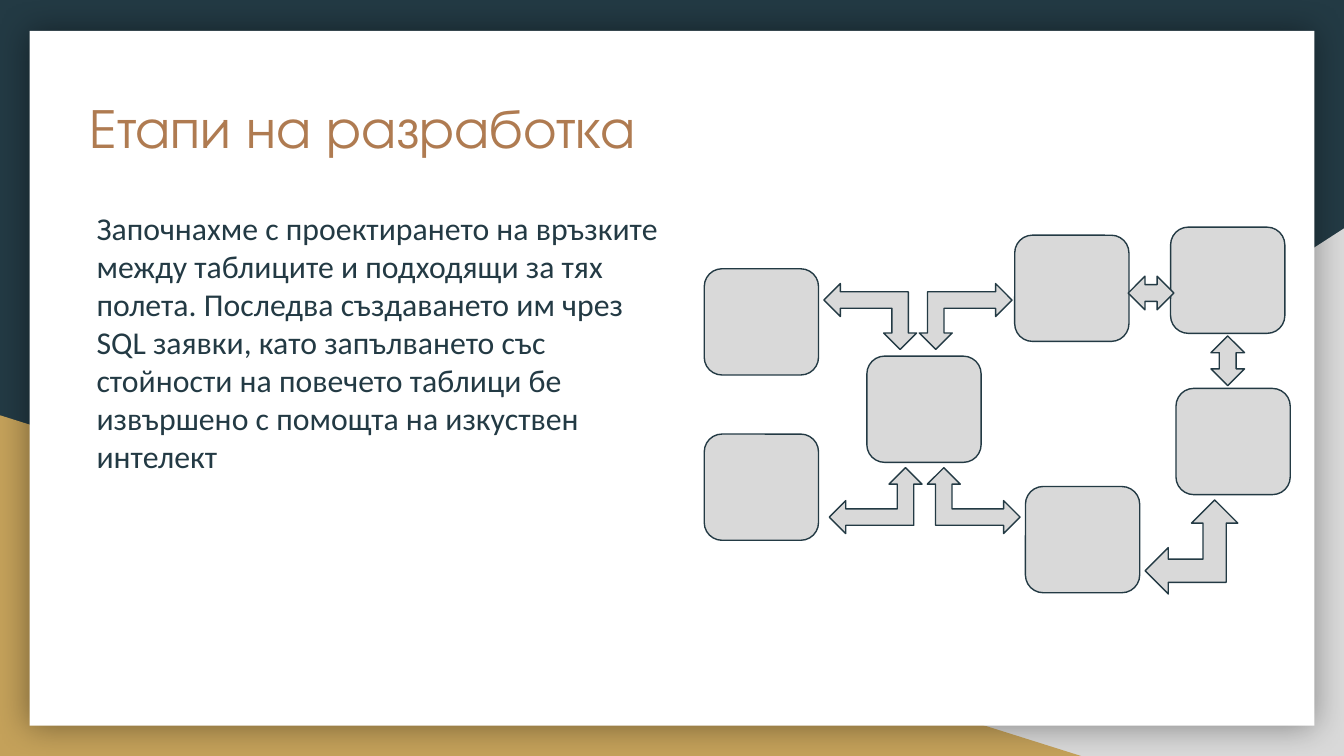
from lxml.etree import SubElement
from pptx import Presentation
from pptx.dml.color import RGBColor
from pptx.enum.shapes import MSO_SHAPE as Shape
from pptx.oxml.ns import qn
from pptx.util import Inches, Pt

NAVY = RGBColor(0x23, 0x3A, 0x44)
GOLD = RGBColor(0xC4, 0xA1, 0x5A)
COPPER = RGBColor(0xAF, 0x7B, 0x51)
GREY = RGBColor(0xD9, 0xD9, 0xD9)
WHITE = RGBColor(0xFF, 0xFF, 0xFF)

WIDTH = 10
HEIGHT = WIDTH * 9 / 16

TITLE = "Етапи на разработка"
BODY = (
    "Започнахме с проектирането на връзките между таблиците и подходящи за тях "
    "полета. Последва създаването им чрез SQL заявки, като запълването със "
    "стойности на повечето таблици бе извършено с помощта на изкуствен интелект"
)

# Diagram of database tables: left and top of each equal node
NODE_SIZE = (0.85, 0.79)
NODES = [(5.24, 2), (5.24, 3.23), (6.45, 2.65), (7.63, 3.62),
         (7.55, 1.75), (8.71, 1.69), (8.75, 2.89)]

# Links between nodes: kind, (left, top, width, height), rotation, mirrored
BENT, STRAIGHT = Shape.LEFT_UP_ARROW, Shape.UP_DOWN_ARROW
LINKS = [
    (BENT, (6.17, 3.48, 0.69, 0.49), 0, False),
    (BENT, (6.23, 2.01, 0.49, 0.69), 270, False),
    (BENT, (6.94, 2.01, 0.49, 0.69), 90, True),
    (BENT, (6.9, 3.48, 0.69, 0.49), 0, True),
    (BENT, (8.52, 3.72, 0.69, 0.7), 0, False),
    (STRAIGHT, (9.01, 2.5, 0.25, 0.37), 0, False),
    (STRAIGHT, (8.44, 2.01, 0.25, 0.34), 270, False),
]


def add_figure(page, kind, area, fill, line=None, rotation=0, mirrored=False):
    figure = page.shapes.add_shape(kind, *map(Inches, area))
    figure.shadow.inherit = False
    figure.fill.solid()
    figure.fill.fore_color.rgb = fill
    if line is None:
        figure.line.fill.background()
    else:
        figure.line.color.rgb = line
        figure.line.width = Pt(0.75)
    figure.rotation = rotation
    if mirrored:
        figure._element.spPr.find(qn("a:xfrm")).set("flipH", "1")
    return figure


def add_glow_shadow(figure, blur, opacity):
    """Add a black shadow with no offset; opacity is in percent."""
    effects = figure._element.spPr.find(qn("a:effectLst"))
    shadow = SubElement(effects, qn("a:outerShdw"), blurRad=str(Pt(blur)),
                        dist="0", dir="0", algn="ctr", rotWithShape="0")
    color = SubElement(shadow, qn("a:srgbClr"), val="000000")
    SubElement(color, qn("a:alpha"), val=str(opacity * 1000))


def add_text(page, text, area, font, size, color):
    box = page.shapes.add_textbox(*map(Inches, area))
    frame = box.text_frame
    frame.word_wrap = True
    frame.margin_left = frame.margin_right = Inches(0.1)
    frame.margin_top = frame.margin_bottom = Inches(0.1)
    span = frame.paragraphs[0].add_run()
    span.text = text
    span.font.name = font
    span.font.size = Pt(size)
    span.font.color.rgb = color


def main():
    deck = Presentation()
    deck.slide_width, deck.slide_height = Inches(WIDTH), Inches(HEIGHT)
    page = deck.slides.add_slide(deck.slide_layouts[6])
    page.background.fill.solid()
    page.background.fill.fore_color.rgb = NAVY

    add_figure(page, Shape.RIGHT_TRIANGLE, (3.92, 1.7, 6.08, 3.93), GREY, mirrored=True)
    add_figure(page, Shape.RIGHT_TRIANGLE, (0, 3.09, 8.06, 2.54), GOLD)
    card = add_figure(page, Shape.RECTANGLE, (0.22, 0.23, 9.56, 5.17), WHITE)
    add_glow_shadow(card, blur=18, opacity=40)

    add_text(page, TITLE, (0.57, 0.59, 8.21, 1.04),
             font="TeX Gyre Adventor", size=30, color=COPPER)
    add_text(page, BODY, (0.62, 1.45, 4.38, 3.37),
             font="Calibri", size=17, color=NAVY)

    for corner in NODES:
        add_figure(page, Shape.ROUNDED_RECTANGLE, corner + NODE_SIZE, GREY, NAVY)
    for kind, area, rotation, mirrored in LINKS:
        add_figure(page, kind, area, GREY, NAVY, rotation, mirrored)

    deck.save("out.pptx")


if __name__ == "__main__":
    main()
